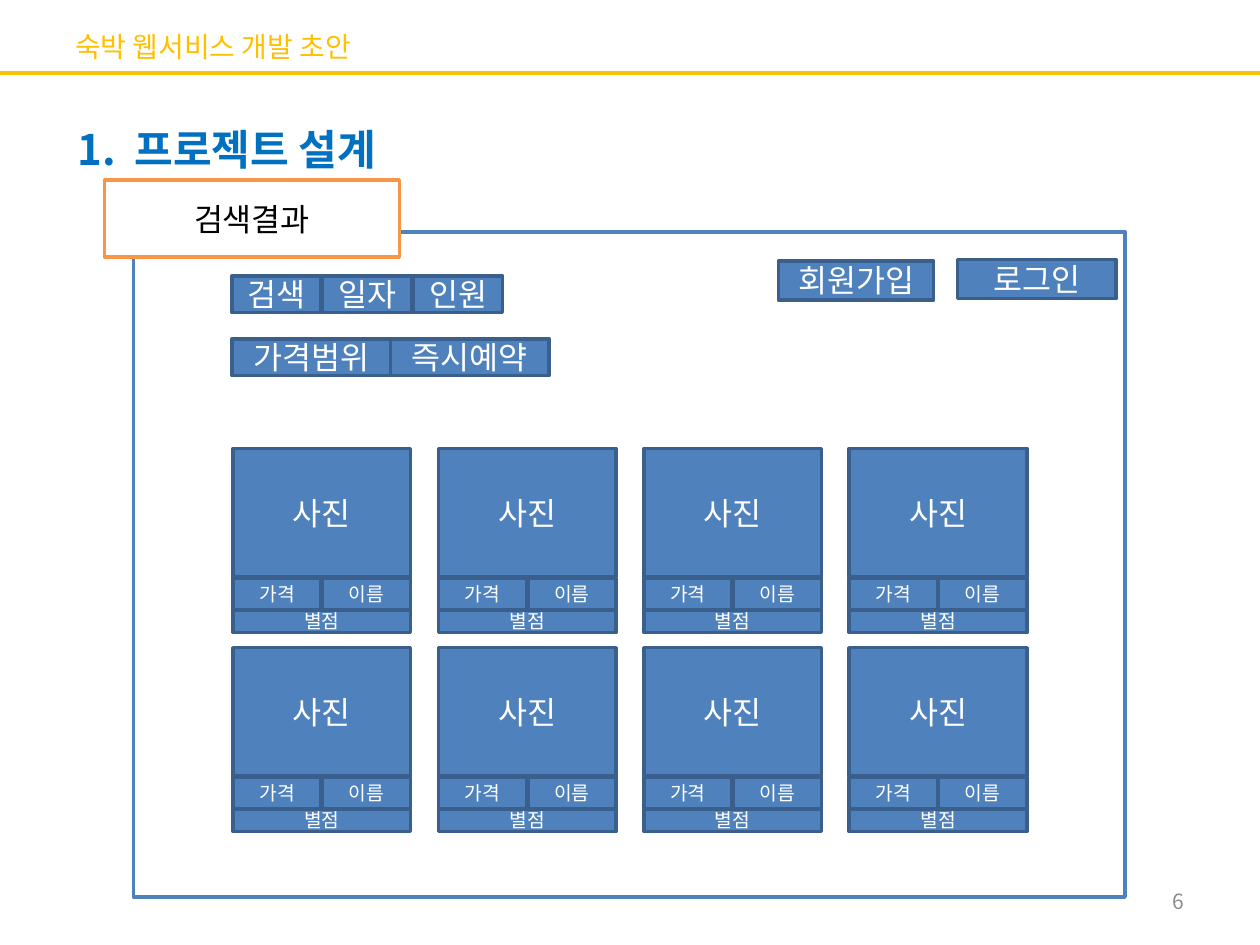
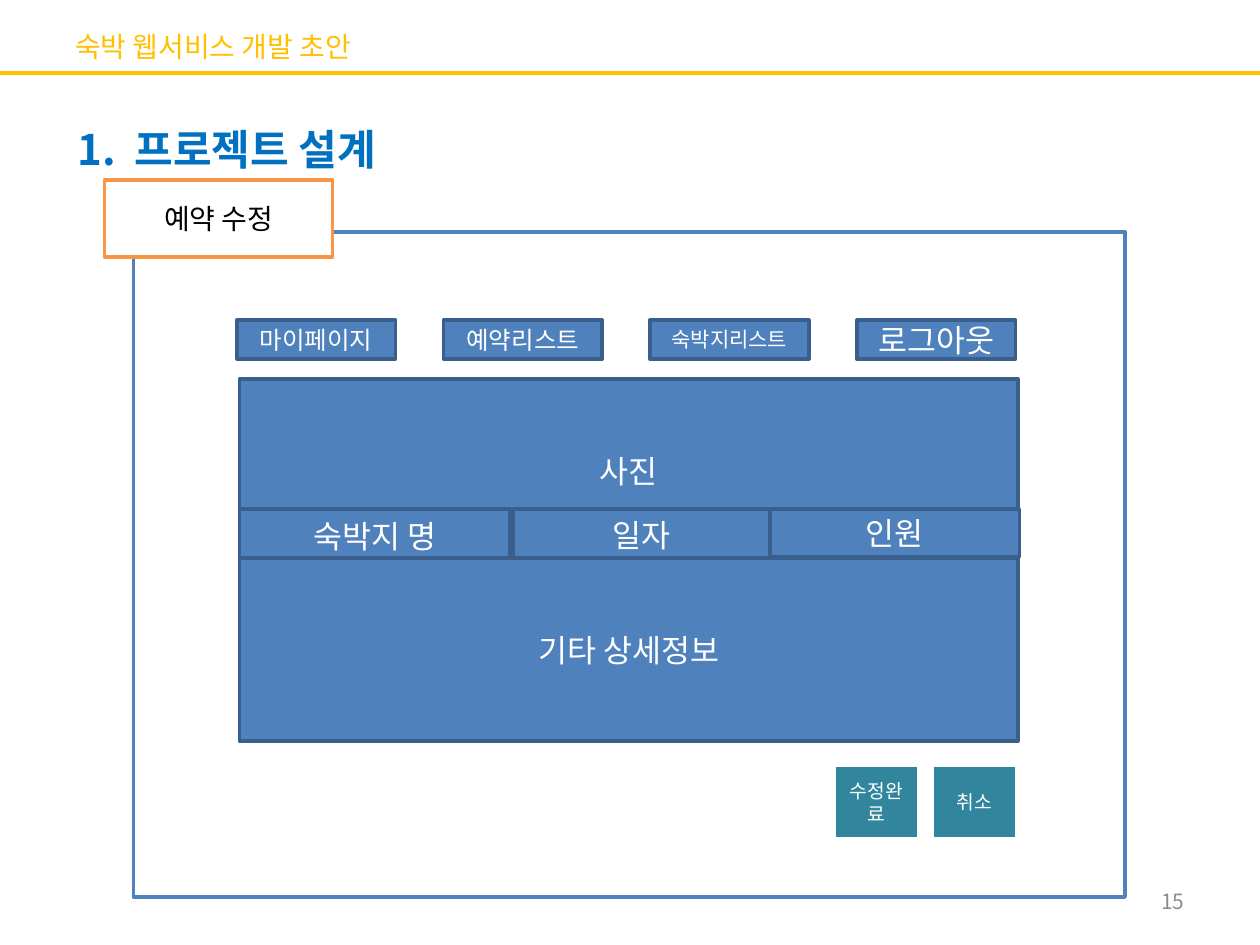
from dataclasses import dataclass

from lxml.etree import SubElement
from pptx import Presentation
from pptx.dml.color import RGBColor
from pptx.enum.shapes import MSO_CONNECTOR as Connector, MSO_SHAPE as Shape
from pptx.enum.text import MSO_ANCHOR as Anchor, PP_ALIGN as Align
from pptx.oxml.ns import qn
from pptx.util import Inches, Pt

FONT = "Noto Sans CJK KR"
COLORS = {
    "white": "FFFFFF",
    "black": "000000",
    "gold": "FFC000",
    "heading": "0070C0",
    "number": "8C8C8C",
    "blue": "4F81BD",
    "navy": "3A5F8C",
    "orange": "F79646",
    "teal": "31859C",
}


@dataclass(frozen=True)
class Block:
    """A labelled rectangle of the wireframe, in inches."""
    label: str
    left: float
    top: float
    width: float
    height: float
    size: int = 18
    fill: str = "blue"
    line: str = "navy"
    ink: str = "white"


def color(name: str) -> RGBColor:
    return RGBColor.from_string(COLORS[name])


def write(frame, text: str, *, size: int, ink: str, bold: bool = False,
          align=Align.LEFT, anchor=Anchor.MIDDLE, wrap: bool = True,
          tab: float | None = None) -> None:
    frame.word_wrap = wrap
    frame.vertical_anchor = anchor
    paragraph = frame.paragraphs[0]
    paragraph.alignment = align
    if tab is not None:
        stops = SubElement(paragraph._p.get_or_add_pPr(), qn("a:tabLst"))
        SubElement(stops, qn("a:tab"), pos=str(Inches(tab)), algn="l")
    run = paragraph.add_run()
    run.text = text
    font = run.font
    font.name, font.size, font.bold = FONT, Pt(size), bold
    font.color.rgb = color(ink)
    SubElement(run._r.get_or_add_rPr(), qn("a:ea"), typeface=FONT)


def add_text(slide, text: str, left: float, top: float, width: float,
             height: float, **style) -> None:
    box = slide.shapes.add_textbox(
        Inches(left), Inches(top), Inches(width), Inches(height))
    write(box.text_frame, text, **style)


def add_block(slide, block: Block) -> None:
    rect = slide.shapes.add_shape(
        Shape.RECTANGLE, Inches(block.left), Inches(block.top),
        Inches(block.width), Inches(block.height))
    rect.shadow.inherit = False
    rect.fill.solid()
    rect.fill.fore_color.rgb = color(block.fill)
    rect.line.color.rgb = color(block.line)
    rect.line.width = Pt(2)
    if block.label:
        write(rect.text_frame, block.label, size=block.size, ink=block.ink,
              align=Align.CENTER)


def add_page(deck, number: int, screen: str, tab_width: float, tab_size: int):
    """Header, heading, page frame and screen name shared by all slides."""
    slide = deck.slides.add_slide(deck.slide_layouts[6])
    rule = slide.shapes.add_connector(
        Connector.STRAIGHT, 0, Inches(0.58), Inches(10), Inches(0.58))
    rule.line.color.rgb = color("gold")
    rule.line.width = Pt(2.25)
    SubElement(rule._element.spPr, qn("a:effectLst"))

    add_block(slide, Block("", 1.06, 1.84, 7.87, 5.28,
                           fill="white", line="blue"))
    add_text(slide, "숙박 웹서비스 개발 초안", 0.5, 0.13, 9, 0.47,
             size=16, ink="gold")
    add_text(slide, "1.\t프로젝트 설계", 0.52, 0.93, 2.74, 0.5, size=24,
             ink="heading", bold=True, anchor=Anchor.TOP, wrap=False, tab=0.45)
    add_text(slide, str(number), 7.17, 6.95, 2.33, 0.4,
             size=12, ink="number", align=Align.RIGHT)
    add_block(slide, Block(screen, 0.83, 1.43, tab_width, 0.61, tab_size,
                           fill="white", line="orange", ink="black"))
    return slide


def lodging_card(left: float, top: float) -> list[Block]:
    return [
        Block("사진", left, top, 1.41, 1.02),
        Block("가격", left, top + 1.03, 0.7, 0.25, 11),
        Block("이름", left + 0.71, top + 1.03, 0.7, 0.25, 11),
        Block("별점", left, top + 1.28, 1.41, 0.18, 11),
    ]


def build_search_results(deck) -> None:
    slide = add_page(deck, 6, "검색결과", 2.34, 18)
    # Account buttons
    blocks = [Block("회원가입", 6.18, 2.07, 1.23, 0.31),
              Block("로그인", 7.6, 2.06, 1.26, 0.31)]
    # Search fields and filters
    blocks += [Block(label, 1.84 + 0.72 * i, 2.19, 0.71, 0.29)
               for i, label in enumerate(["검색", "일자", "인원"])]
    blocks += [Block(label, 1.84 + 1.26 * i, 2.69, 1.26, 0.29)
               for i, label in enumerate(["가격범위", "즉시예약"])]
    # Grid of lodging cards
    for row in range(2):
        for column in range(4):
            blocks += lodging_card(1.85 + 1.63 * column, 3.56 + 1.58 * row)
    for block in blocks:
        add_block(slide, block)


def build_booking_edit(deck) -> None:
    slide = add_page(deck, 15, "예약 수정", 1.81, 16)
    # Menu buttons
    menu = [("마이페이지", 14), ("예약리스트", 14),
            ("숙박지리스트", 12), ("로그아웃", 18)]
    blocks = [Block(label, 1.88 + 1.64 * i, 2.54, 1.26, 0.31, size)
              for i, (label, size) in enumerate(menu)]
    # Confirm and cancel
    blocks += [Block(label, 6.62 + 0.78 * i, 6.07, 0.67, 0.59, 11,
                     fill="teal", line="white")
               for i, label in enumerate(["수정완료", "취소"])]
    # Booking details
    blocks += [
        Block("사진", 1.9, 3.01, 6.18, 1.45),
        Block("일자", 4.07, 4.04, 2.04, 0.41),
        Block("인원", 6.11, 4.04, 1.98, 0.38),
        Block("숙박지 명", 1.9, 4.04, 2.15, 0.42),
        Block("기타 상세정보", 1.9, 4.43, 6.18, 1.45),
    ]
    for block in blocks:
        add_block(slide, block)


def main() -> None:
    deck = Presentation()
    deck.slide_width, deck.slide_height = Inches(10), Inches(7.5)
    build_search_results(deck)
    build_booking_edit(deck)
    deck.save("out.pptx")


if __name__ == "__main__":
    main()
